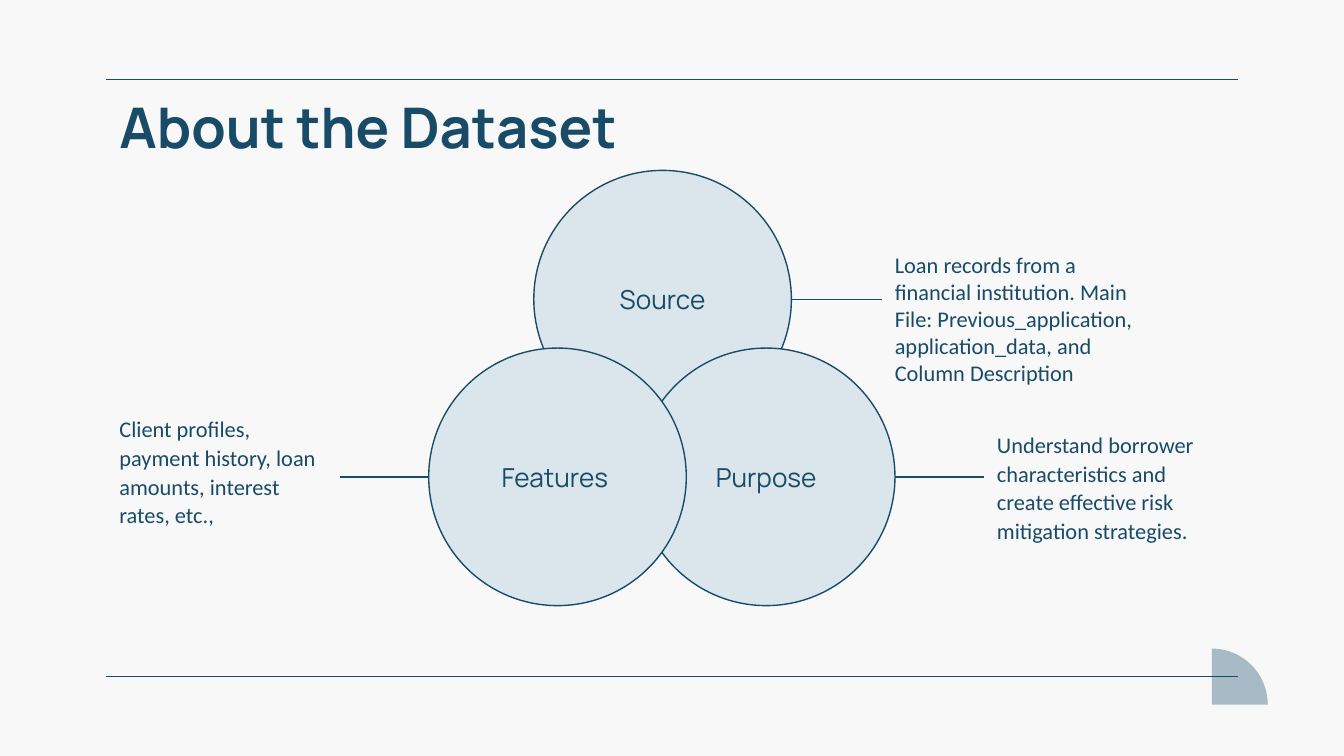
from dataclasses import dataclass
from math import cos, pi, sin

from lxml.etree import SubElement
from pptx import Presentation
from pptx.dml.color import RGBColor as RGB
from pptx.enum.shapes import MSO_CONNECTOR as Link, MSO_SHAPE as Kind
from pptx.enum.text import MSO_ANCHOR as Anchor, PP_ALIGN as Align
from pptx.oxml.ns import qn
from pptx.util import Pt

INK, PALE, MIST, PAPER = "174B67", "DAE6EC", "A7BBC7", "F8F8F8"
LEFT, RIGHT = 1, 3
SIZE = 138
RADIUS = SIZE / 2
HEAD = {"name": "Manrope", "size": Pt(30), "bold": True}
LABEL = {"name": "Manrope", "size": Pt(14)}
BODY = {"name": "Calibri", "size": Pt(12)}


@dataclass
class Topic:
    name: str
    note: str
    x: float  # circle centre
    y: float
    left: float  # note box
    width: float
    height: float
    side: int  # side of the note box that faces the circle
    para: dict


LOOSE = {"line_spacing": 1.07, "space_after": Pt(8)}
TOPICS = [
    Topic("Source", "Loan records from a financial institution. Main File: "
          "Previous_application, application_data, and Column Description",
          355, 160.3, 472.3, 152, 58.3, LEFT, {}),
    Topic("Purpose", "Understand borrower characteristics and create effective "
          "risk mitigation strategies.",
          410.5, 255.5, 527, 137, 58.3, LEFT, LOOSE),
    Topic("Features ", "Client profiles, payment history, loan amounts, "
          "interest rates, etc.,",
          298.7, 255.5, 56.9, 125.3, 74.9, RIGHT, LOOSE),
]


def paint(item, code: str) -> None:
    """Give a fill, or a font or line, a solid colour."""
    if hasattr(item, "solid"):
        item.solid()
        item.fore_color.rgb = RGB.from_string(code)
    else:
        item.color.rgb = RGB.from_string(code)


def write(shape, text: str, font: dict, para: dict, pad: float) -> None:
    frame = shape.text_frame
    frame.word_wrap = True
    frame.margin_left = frame.margin_right = Pt(7.2)
    frame.margin_top = frame.margin_bottom = Pt(pad)
    line = frame.paragraphs[0]
    for key, value in para.items():
        setattr(line, key, value)
    run = line.add_run()
    run.text = text
    for key, value in font.items():
        setattr(run.font, key, value)
    paint(run.font, INK)


def rule(shapes, x1: float, y1: float, x2: float, y2: float):
    line = shapes.add_connector(Link.STRAIGHT, Pt(x1), Pt(y1), Pt(x2), Pt(y2))
    line.line.width = Pt(0.75)
    paint(line.line, INK)
    SubElement(line._element.spPr, qn("a:effectLst"))
    return line


def wedge(shapes, x: float, y: float, size: float, steps: int = 48) -> None:
    """Draw a quarter disc up and right of its corner."""
    arc = [(Pt(x + size * sin(i * pi / 2 / steps)),
            Pt(y - size * cos(i * pi / 2 / steps))) for i in range(steps + 1)]
    pen = shapes.build_freeform(Pt(x), Pt(y))
    pen.add_line_segments(arc, close=True)
    shape = pen.convert_to_shape()
    shape.shadow.inherit = False
    paint(shape.fill, MIST)
    shape.line.fill.background()


def note(shapes, topic: Topic):
    box = shapes.add_textbox(Pt(topic.left), Pt(topic.y - topic.height / 2),
                             Pt(topic.width), Pt(topic.height))
    write(box, topic.note, BODY, topic.para, 3.6)
    return box


def disc(shapes, topic: Topic) -> None:
    shape = shapes.add_shape(Kind.OVAL, Pt(topic.x - RADIUS),
                             Pt(topic.y - RADIUS), Pt(SIZE), Pt(SIZE))
    shape.shadow.inherit = False
    paint(shape.fill, PALE)
    shape.line.width = Pt(0.75)
    paint(shape.line, INK)
    shape.text_frame.vertical_anchor = Anchor.MIDDLE
    write(shape, topic.name, LABEL, {"alignment": Align.CENTER}, 7.2)


def join(shapes, topic: Topic, box) -> None:
    """Run a line from the circle's edge to its note."""
    edge = topic.x + (RADIUS if topic.side == LEFT else -RADIUS)
    line = rule(shapes, edge, topic.y, topic.left, topic.y)
    line.end_connect(box, topic.side)


def main() -> None:
    deck = Presentation()
    deck.slide_width, deck.slide_height = Pt(720), Pt(405)
    slide = deck.slides.add_slide(deck.slide_layouts[6])
    paint(slide.background.fill, PAPER)
    shapes = slide.shapes

    wedge(shapes, 649.2, 377.5, 30)
    for y in (42.5, 362.5):
        rule(shapes, 56.9, y, 663.1, y)
    title = shapes.add_textbox(Pt(56.9), Pt(42.5), Pt(607), Pt(41))
    write(title, "About the Dataset", HEAD, {}, 7.2)

    boxes = [note(shapes, topic) for topic in TOPICS]
    for topic in TOPICS:
        disc(shapes, topic)
    for topic, box in zip(TOPICS, boxes):
        join(shapes, topic, box)
    deck.save("out.pptx")


if __name__ == "__main__":
    main()
